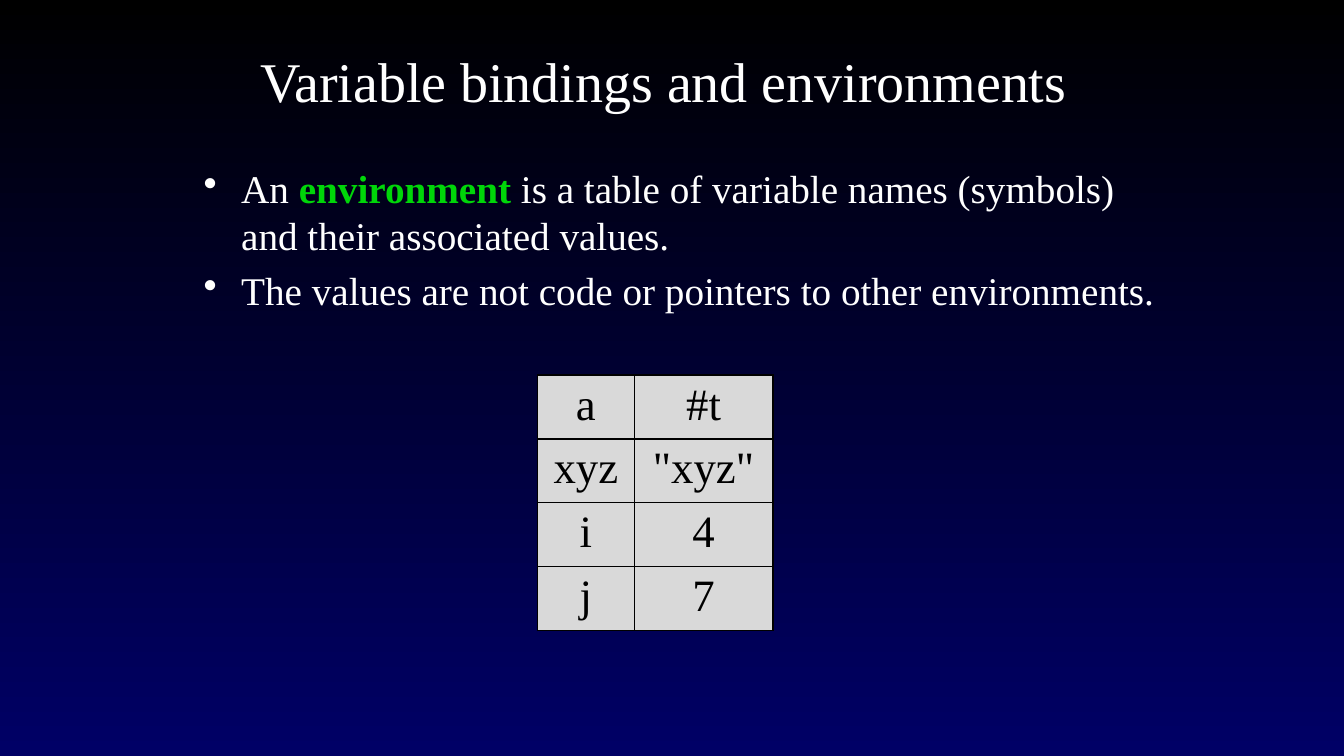
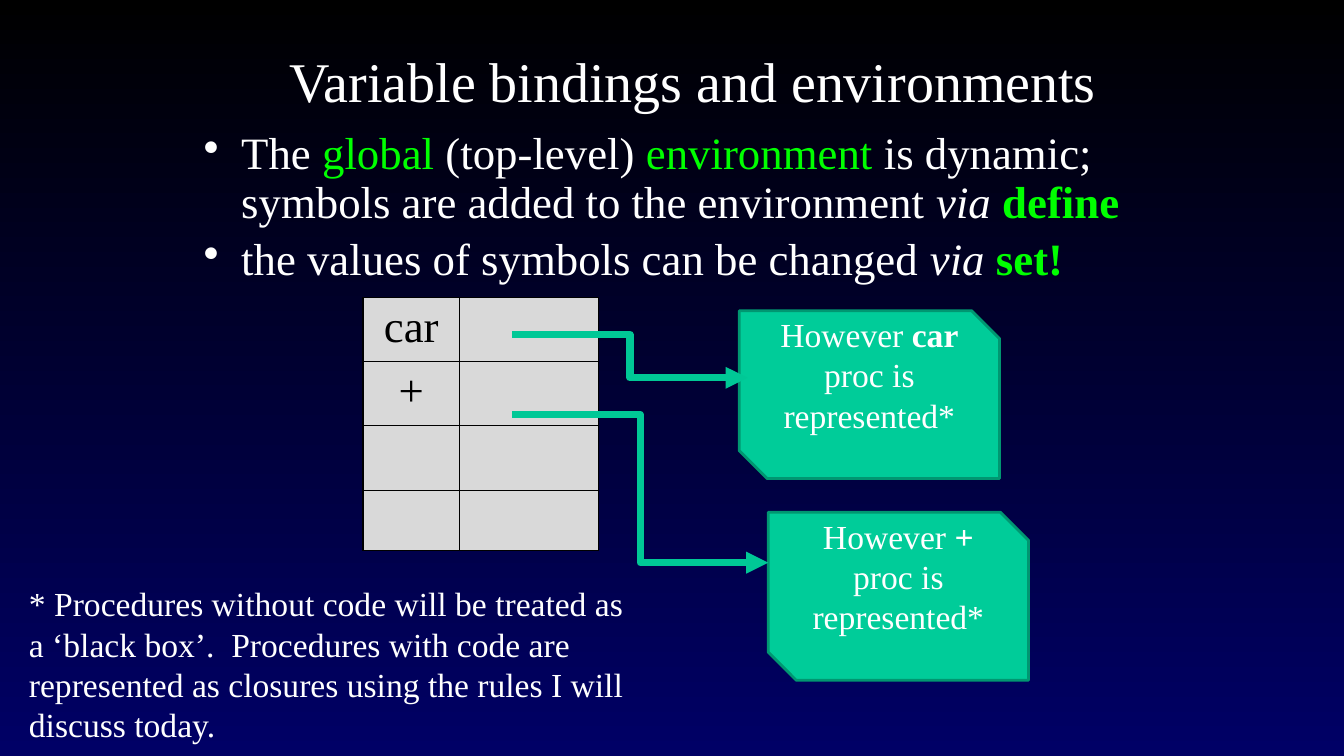
from dataclasses import dataclass

from lxml import etree
from pptx import Presentation
from pptx import util as u
from pptx.dml.color import RGBColor
from pptx.enum import shapes, text
from pptx.oxml.ns import qn

COLORS = {
    "top": "000000",
    "bottom": "000066",
    "white": "FFFFFF",
    "black": "000000",
    "leaf": "00D609",
    "lime": "00FF00",
    "cell": "D9D9D9",
    "card": "00CC99",
    "card_edge": "009771",
    "arrow": "00C896",
}
FONT = "Times New Roman"
TITLE = "Variable bindings and environments"
COLUMN_WIDTHS = (2.43, 3.5)


@dataclass
class Span:
    text: str
    color: str = "white"
    bold: bool = False
    italic: bool = False


@dataclass
class Frame:
    """Left, top, width and height in centimetres."""
    left: float
    top: float
    width: float
    height: float

    def lengths(self) -> list:
        return [u.Cm(n) for n in (self.left, self.top, self.width, self.height)]


@dataclass
class Card:
    frame: Frame
    spans: list


@dataclass
class Arrow:
    start: tuple
    end: tuple


def rgb(name: str) -> RGBColor:
    return RGBColor.from_string(COLORS[name])


def write_spans(para, spans: list, size: float) -> None:
    for item in spans:
        span = para.add_run()
        span.text = item.text
        font = span.font
        font.name, font.size = FONT, u.Pt(size)
        font.bold, font.italic = item.bold, item.italic
        font.color.rgb = rgb(item.color)


def add_text(page, frame: Frame, spans: list, size: float):
    box = page.shapes.add_textbox(*frame.lengths())
    box.text_frame.word_wrap = True
    write_spans(box.text_frame.paragraphs[0], spans, size)
    return box


def add_page(deck, title_frame: Frame):
    """Blank page with the shared gradient and title style."""
    page = deck.slides.add_slide(deck.slide_layouts[6])
    fill = page.background.fill
    fill.gradient()
    fill.gradient_angle = 270
    for stop, name in zip(fill.gradient_stops, ("top", "bottom")):
        stop.color.rgb = rgb(name)
    title = add_text(page, title_frame, [Span(TITLE)], 40)
    title.text_frame.vertical_anchor = text.MSO_ANCHOR.MIDDLE
    title.text_frame.paragraphs[0].alignment = text.PP_ALIGN.CENTER
    return page


def add_bullets(page, frame: Frame, items: list, size: float,
                line_spacing: float = 1.0) -> None:
    box = page.shapes.add_textbox(*frame.lengths())
    box.text_frame.word_wrap = True
    for index, spans in enumerate(items):
        para = box.text_frame.paragraphs[0] if index == 0 else box.text_frame.add_paragraph()
        props = para._p.get_or_add_pPr()
        props.set("marL", str(u.Cm(0.95)))
        props.set("indent", str(u.Cm(-0.95)))
        etree.SubElement(props, qn("a:buChar"), char="•")
        para.line_spacing = line_spacing
        if index:
            para.space_before = u.Pt(size * 0.2)
        write_spans(para, spans, size)


def style_cell(cell, value: str) -> None:
    props = cell._tc.get_or_add_tcPr()
    for side in ("a:lnL", "a:lnR", "a:lnT", "a:lnB"):
        line = etree.SubElement(props, qn(side), w=str(u.Pt(1)))
        paint = etree.SubElement(line, qn("a:solidFill"))
        etree.SubElement(paint, qn("a:srgbClr"), val=COLORS["black"])
    cell.fill.solid()
    cell.fill.fore_color.rgb = rgb("cell")
    if value:
        para = cell.text_frame.paragraphs[0]
        para.alignment = text.PP_ALIGN.CENTER
        write_spans(para, [Span(value, "black")], 32)


def add_environment(page, left: float, top: float, rows: list, heights: list) -> None:
    """Table of symbols and their values."""
    frame = Frame(left, top, sum(COLUMN_WIDTHS), sum(heights))
    table = page.shapes.add_table(len(rows), len(COLUMN_WIDTHS), *frame.lengths()).table
    table.first_row = table.horz_banding = False
    for column, width in zip(table.columns, COLUMN_WIDTHS):
        column.width = u.Cm(width)
    for row, height, values in zip(table.rows, heights, rows):
        row.height = u.Cm(height)
        for cell, value in zip(row.cells, values):
            style_cell(cell, value)


def add_card(page, card: Card) -> None:
    shape = page.shapes.add_shape(shapes.MSO_SHAPE.SNIP_2_DIAG_RECTANGLE,
                                  *card.frame.lengths())
    shape.shadow.inherit = False
    shape.fill.solid()
    shape.fill.fore_color.rgb = rgb("card")
    shape.line.color.rgb = rgb("card_edge")
    shape.line.width = u.Pt(2)
    frame = shape.text_frame
    frame.word_wrap = True
    frame.vertical_anchor = text.MSO_ANCHOR.MIDDLE
    frame.margin_bottom = u.Cm(1.15)
    frame.paragraphs[0].alignment = text.PP_ALIGN.CENTER
    write_spans(frame.paragraphs[0], card.spans, 24)


def add_arrow(page, arrow: Arrow) -> None:
    points = [u.Cm(n) for n in arrow.start + arrow.end]
    connector = page.shapes.add_connector(shapes.MSO_CONNECTOR.ELBOW, *points)
    connector.line.color.rgb = rgb("arrow")
    connector.line.width = u.Pt(5.25)
    etree.SubElement(connector.line._get_or_add_ln(), qn("a:tailEnd"), type="triangle")
    etree.SubElement(connector._element.spPr, qn("a:effectLst"))


def build_definition(deck) -> None:
    page = add_page(deck, Frame(2.75, 0.85, 27.94, 2.33))
    add_bullets(page, Frame(4.88, 4.02, 24.77, 13.76), [
        [Span("An "), Span("environment ", "leaf", bold=True),
         Span("is a table of variable names (symbols) and their associated values.")],
        [Span("The values are not code or pointers to other environments.")],
    ], 28)
    add_environment(page, 13.55, 9.45,
                    [("a", "#t"), ("xyz", '"xyz"'), ("i", "4"), ("j", "7")], [1.51] * 4)


def build_global(deck) -> None:
    page = add_page(deck, Frame(5.29, 0.85, 24.34, 2.33))
    add_bullets(page, Frame(4.88, 3.18, 24.77, 13.76), [
        [Span("The "), Span("global", "lime"), Span(" (top-level) "),
         Span("environment", "lime"),
         Span(" is dynamic;  symbols are added to the environment "),
         Span("via ", italic=True), Span("define", "lime", bold=True)],
        [Span("the values of symbols can be changed "),
         Span("via ", italic=True), Span("set!", "lime", bold=True)],
    ], 32, 0.9)
    add_environment(page, 9.15, 7.5,
                    [("car", ""), ("+", ""), ("", ""), ("", "")], [1.51, 1.51, 1.64, 1.51])

    # Procedure cards and the arrows that lead to them
    cards = [
        Card(Frame(18.63, 7.83, 6.56, 4.23),
             [Span("However "), Span("car", bold=True), Span(" proc is represented*")]),
        Card(Frame(19.36, 12.91, 6.56, 4.23),
             [Span("However "), Span("+ ", bold=True), Span("proc is represented*")]),
    ]
    for card in cards:
        add_card(page, card)
    for arrow in (Arrow((12.91, 8.43), (18.84, 9.52)),
                  Arrow((12.91, 10.45), (19.36, 14.18))):
        add_arrow(page, arrow)

    # Footnote
    add_text(page, Frame(0.48, 14.57, 15.67, 4.37), [Span(
        "* Procedures without code will be treated as a ‘black box’.  Procedures with "
        "code are represented as closures using the rules I will discuss today.")], 24)


def main() -> None:
    deck = Presentation()
    deck.slide_width, deck.slide_height = u.Cm(33.87), u.Cm(19.05)
    build_definition(deck)
    build_global(deck)
    deck.save("out.pptx")


if __name__ == "__main__":
    main()
